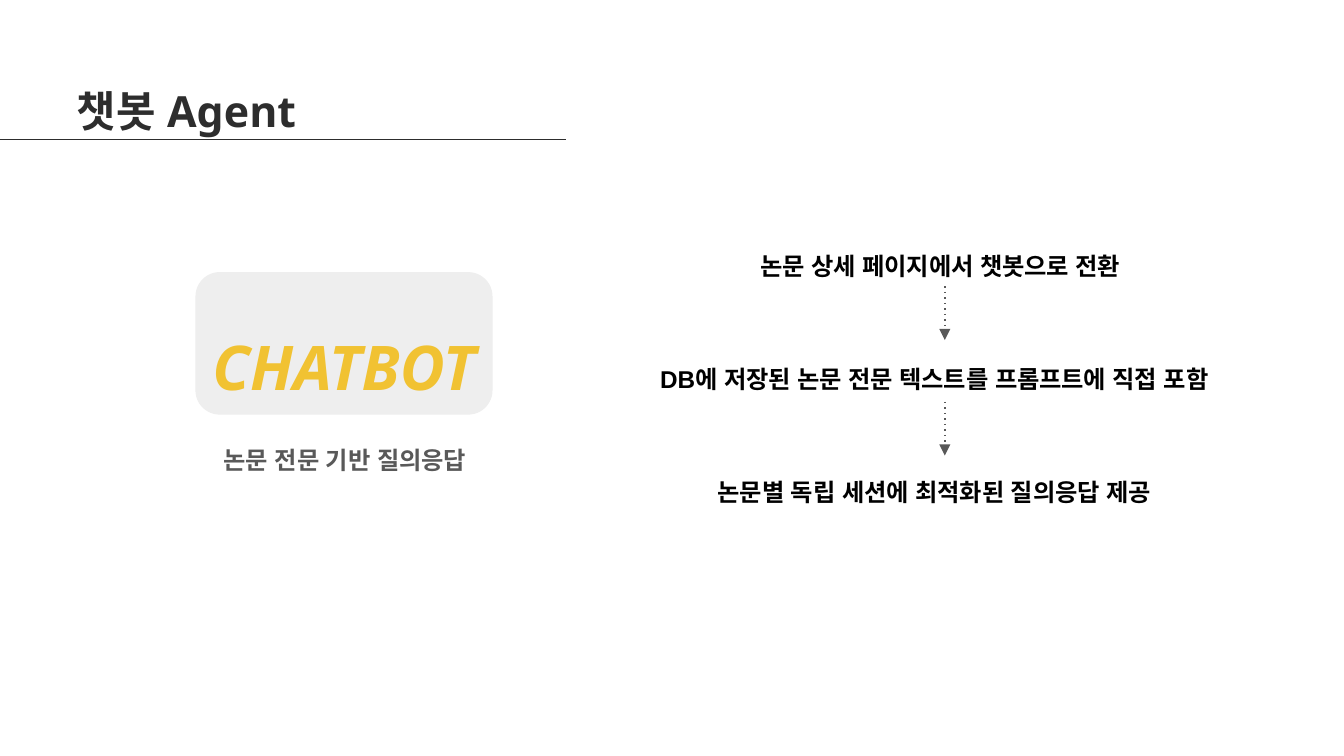
from dataclasses import dataclass

from lxml import etree
from pptx import Presentation
from pptx.dml.color import RGBColor
from pptx.enum.shapes import MSO_CONNECTOR, MSO_SHAPE
from pptx.enum.text import MSO_ANCHOR, MSO_AUTO_SIZE, PP_ALIGN
from pptx.oxml.ns import qn
from pptx.util import Inches, Pt

LEFT, CENTER = PP_ALIGN.LEFT, PP_ALIGN.CENTER
TOP = MSO_ANCHOR.TOP
NO_AUTOFIT = MSO_AUTO_SIZE.NONE
STRAIGHT = MSO_CONNECTOR.STRAIGHT
ROUNDED = MSO_SHAPE.ROUNDED_RECTANGLE


@dataclass(frozen=True)
class Theme:
    ink: str = "2D2D2D"
    card: str = "EEEEEE"
    accent: str = "F1C232"
    muted: str = "595959"
    body: str = "000000"
    heading_font: str = "Noto Sans"
    body_font: str = "Arial"
    title_size: float = 23
    logo_size: float = 33
    body_size: float = 13
    line_width: float = 0.75


theme = Theme()


def write(box, text, *, size=theme.body_size, font=theme.body_font,
          color=theme.body, italic=False, align=CENTER, spacing=1.15, inset=0.1):
    frame = box.text_frame
    frame.word_wrap = True
    frame.auto_size = NO_AUTOFIT
    frame.vertical_anchor = TOP
    frame.margin_left = frame.margin_right = Inches(inset)
    frame.margin_top = frame.margin_bottom = Inches(inset)
    paragraph = frame.paragraphs[0]
    paragraph.alignment = align
    paragraph.line_spacing = spacing
    paragraph.space_before = Pt(0)
    run = paragraph.add_run()
    run.text = text
    run.font.size = Pt(size)
    run.font.bold = True
    run.font.italic = italic
    run.font.color.rgb = RGBColor.from_string(color)
    run.font.name = font
    # Korean glyphs take their font from the East Asian slot
    etree.SubElement(run.font._element, qn("a:ea"), typeface=font)


def draw_line(x1, y1, x2, y2, color):
    line = slide.shapes.add_connector(
        STRAIGHT, Inches(x1), Inches(y1), Inches(x2), Inches(y2))
    line.line.color.rgb = RGBColor.from_string(color)
    line.line.width = Pt(theme.line_width)
    etree.SubElement(line._element.spPr, qn("a:effectLst"))
    return line


# A 16:9 slide
prs = Presentation()
prs.slide_width = Inches(10)
prs.slide_height = prs.slide_width * 9 // 16
slide = prs.slides.add_slide(prs.slide_layouts[5])

# Title and its rule, which bleeds off the left edge
draw_line(-0.63, 1.04, 4.21, 1.04, theme.ink)
title = slide.shapes.title
title.left, title.top = Inches(0.57), Inches(0.48)
title.width, title.height = Inches(6.84), Inches(0.39)
write(title, "챗봇 Agent", size=theme.title_size, font=theme.heading_font,
      color=theme.ink, align=LEFT, spacing=1.4, inset=0)

# Chatbot card with its caption
card = slide.shapes.add_shape(
    ROUNDED, Inches(1.46), Inches(2.03), Inches(2.2), Inches(1.05))
card.shadow.inherit = False
card.fill.solid()
card.fill.fore_color.rgb = RGBColor.from_string(theme.card)
card.line.color.rgb = RGBColor.from_string(theme.card)
card.line.width = Pt(theme.line_width)

wordmark = slide.shapes.add_textbox(
    Inches(0.92), Inches(2.18), Inches(3.28), Inches(0.76))
write(wordmark, "CHATBOT", size=theme.logo_size, font=theme.heading_font,
      color=theme.accent, italic=True, spacing=1.3)

caption = slide.shapes.add_textbox(
    Inches(1.3), Inches(3.18), Inches(2.53), Inches(0.42))
write(caption, "논문 전문 기반 질의응답", color=theme.muted)

# Steps of the flow, evenly spaced
steps = [
    (4.86, 4.27, "논문 상세 페이지에서 챗봇으로 전환"),
    (4.7, 4.5, "DB에 저장된 논문 전문 텍스트를 프롬프트에 직접 포함"),
    (4.65, 4.6, "논문별 독립 세션에 최적화된 질의응답 제공"),
]
for index, (left, width, text) in enumerate(steps):
    step = slide.shapes.add_textbox(
        Inches(left), Inches(1.74 + 0.84 * index), Inches(width), Inches(0.42))
    write(step, text)

# Dotted arrows between the steps
for arrow_top in (2.13, 2.99):
    arrow = draw_line(7.03, arrow_top, 7.03, arrow_top + 0.4, theme.muted)
    stroke = arrow.line._get_or_add_ln()
    etree.SubElement(stroke, qn("a:prstDash"), val="dot")
    etree.SubElement(stroke, qn("a:tailEnd"), type="triangle", w="med", len="med")

prs.save("out.pptx")
